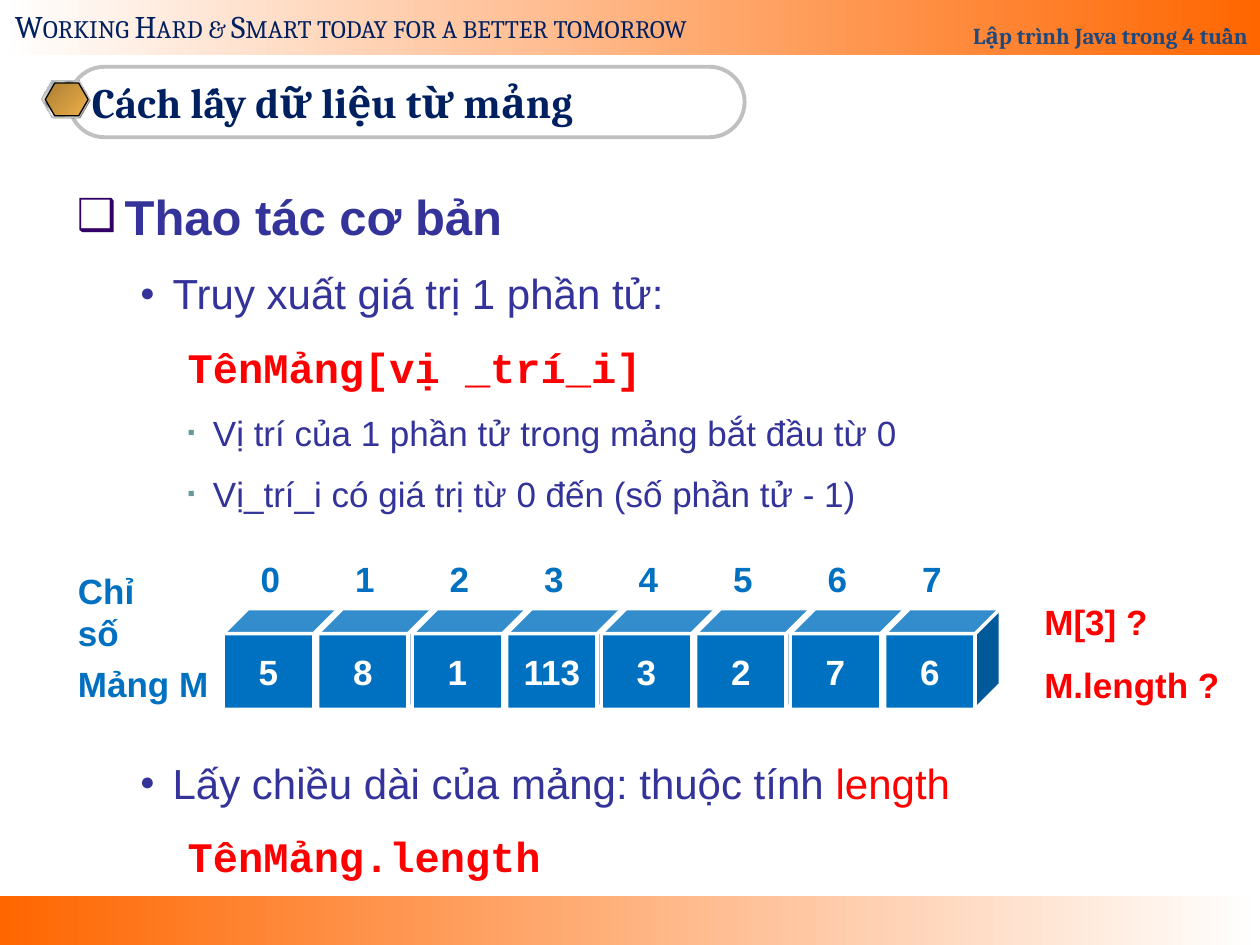
from dataclasses import dataclass
from lxml import etree
from pptx import Presentation
from pptx import util as u
from pptx.dml import color as dml
from pptx.enum import shapes, text
from pptx.oxml import ns


@dataclass(frozen=True)
class Theme:
    orange: str = "FF6600"
    white: str = "FFFFFF"
    black: str = "000000"
    silver: str = "C0C0C0"
    gray: str = "808080"
    navy: str = "002060"
    slate: str = "1F497D"
    indigo: str = "333399"
    purple: str = "330066"
    teal: str = "669999"
    blue: str = "0070C0"
    red: str = "FF0000"
    sans: str = "Arial"
    serif: str = "Cambria"
    mono: str = "Courier New"
    heading: int = 28
    level: int = 24
    detail: int = 20
    motto: int = 18
    course: int = 13


theme = Theme()
rim_half = [(0, "E6E6E6"), (7, "7D8496"), (26, "E6E6E6"), (34, "7D8496"), (46, "E6E6E6")]
rim = rim_half + [(50, theme.white)] + [(100 - at, shade) for at, shade in reversed(rim_half)]


def write(paragraph, words, size=theme.detail, color=theme.indigo, face=theme.sans, bold=True,
          align=text.PP_ALIGN.LEFT, small_caps=False):
    paragraph.alignment = align
    run = paragraph.add_run()
    run.text = words
    run.font.name = face
    run.font.size = u.Pt(size)
    run.font.bold = bold
    run.font.color.rgb = dml.RGBColor.from_string(color)
    if small_caps:
        run.font._element.set("cap", "small")


def add_block(kind, box, fill=None, line=None, weight=0.75, angle=0):
    block = slide.shapes.add_shape(kind, *map(u.Inches, box))
    block.shadow.inherit = False
    if isinstance(fill, list):
        block.fill.gradient()
        block.fill.gradient_angle = angle
        stops = block._element.spPr.find(".//" + ns.qn("a:gsLst"))
        for stop in list(stops):
            stops.remove(stop)
        for at, shade in fill:
            stop = etree.SubElement(stops, ns.qn("a:gs"), pos=str(at * 1000))
            etree.SubElement(stop, ns.qn("a:srgbClr"), val=shade)
    elif fill:
        block.fill.solid()
        block.fill.fore_color.rgb = dml.RGBColor.from_string(fill)
    else:
        block.fill.background()
    if line:
        block.line.color.rgb = dml.RGBColor.from_string(line)
        block.line.width = u.Pt(weight)
    else:
        block.line.fill.background()
    return block


deck = Presentation()
deck.slide_width, deck.slide_height = u.Inches(10), u.Inches(7.5)
slide = deck.slides.add_slide(deck.slide_layouts[1])
preset = shapes.MSO_SHAPE

add_block(preset.RECTANGLE, (0, 7.11, 10, 0.39), [(0, theme.orange), (100, theme.white)])
header = add_block(preset.RECTANGLE, (0, 0, 10, 0.44), [(0, theme.white), (100, theme.orange)])
header.text_frame.vertical_anchor = text.MSO_ANCHOR.BOTTOM
write(header.text_frame.paragraphs[0], "Lập trình Java trong 4 tuần", size=theme.course,
      color=theme.slate, face=theme.serif, align=text.PP_ALIGN.RIGHT)

motto = slide.shapes.add_textbox(*map(u.Inches, (0.02, 0.01, 5.9, 0.4)))
motto.text_frame.word_wrap = False
write(motto.text_frame.paragraphs[0], "Working Hard & Smart today for a better tomorrow",
      size=theme.motto, color=theme.navy, face=theme.serif, bold=False, small_caps=True)

capsule = add_block(preset.ROUNDED_RECTANGLE, (0.55, 0.53, 5.36, 0.56), None, theme.silver, 2.25)
capsule.adjustments[0] = 0.5
for box, fill, edge in (
    ((0.34, 0.65, 0.38, 0.29), theme.gray, None),
    ((0.33, 0.64, 0.38, 0.29), rim, theme.silver),
    ((0.36, 0.66, 0.34, 0.26), [(0, "AB7E34"), (100, "EFB049")], theme.black),
):
    hexagon = add_block(preset.HEXAGON, box, fill, edge, angle=315)
    hexagon.adjustments[0] = 0.289

title = slide.shapes.title
title.left, title.top, title.width, title.height = map(u.Inches, (0.63, 0.53, 5.2, 0.56))
title.text_frame.word_wrap = False
title.text_frame.auto_size = text.MSO_AUTO_SIZE.NONE
title.text_frame.vertical_anchor = text.MSO_ANCHOR.MIDDLE
write(title.text_frame.paragraphs[0], "Cách lấy dữ liệu từ mảng", size=theme.level,
      color=theme.navy, face=theme.serif)

body = slide.placeholders[1]
body.left, body.top, body.width, body.height = map(u.Inches, (0.51, 1.31, 8.66, 5.67))
body.text_frame.word_wrap = True
body.text_frame.auto_size = text.MSO_AUTO_SIZE.NONE
indents = [(0.38, -0.38), (0.76, -0.26), (1.08, -0.2)]
square = ("❑", theme.purple, 90)
dot = ("●", theme.indigo, 60)
tick = ("▪", theme.teal, 60)
topic = dict(size=theme.heading)
point = dict(size=theme.level, bold=False)
code = dict(size=theme.level, color=theme.red, face=theme.mono)
detail = dict(bold=False)
outline = [
    (0, 0, square, [("Thao tác cơ bản", topic)]),
    (1, 6, dot, [("Truy xuất giá trị 1 phần tử:", point)]),
    (2, 6, None, [("TênMảng[vị _trí_i]", code)]),
    (2, 5, tick, [("Vị trí của 1 phần tử trong mảng bắt đầu từ 0", detail)]),
    (2, 5, tick, [("Vị_trí_i có giá trị từ 0 đến (số phần tử - 1)", detail)]),
    (1, 131.5, dot, [("Lấy chiều dài của mảng: thuộc tính ", point),
                     ("length", dict(point, color=theme.red))]),
    (2, 6, None, [("TênMảng.length", code)]),
]
for row, (level, gap, bullet, runs) in enumerate(outline):
    item = body.text_frame.add_paragraph() if row else body.text_frame.paragraphs[0]
    item.level = level
    props = item._p.get_or_add_pPr()
    margin, hanging = indents[level]
    props.set("marL", str(u.Inches(margin)))
    props.set("indent", str(u.Inches(hanging)))
    if bullet:
        mark, shade, percent = bullet
        tint = etree.SubElement(props, ns.qn("a:buClr"))
        etree.SubElement(tint, ns.qn("a:srgbClr"), val=shade)
        etree.SubElement(props, ns.qn("a:buSzPct"), val=str(percent * 1000))
        etree.SubElement(props, ns.qn("a:buFont"), typeface=theme.sans)
        etree.SubElement(props, ns.qn("a:buChar"), char=mark)
    else:
        etree.SubElement(props, ns.qn("a:buNone"))
    item.line_spacing = 1.25
    item.space_before = u.Pt(gap)
    for words, look in runs:
        write(item, words, **look)

first_left, pitch = 1.77, 0.75
for index, value in enumerate([5, 8, 1, 113, 3, 2, 7, 6]):
    left = first_left + index * pitch
    cell = add_block(preset.CUBE, (left, 4.83, 0.92, 0.8), theme.blue, theme.white, 2)
    position = slide.shapes.add_textbox(*map(u.Inches, (left, 4.38, pitch, 0.42)))
    for holder, words, shade in ((cell, value, theme.white), (position, index, theme.blue)):
        holder.text_frame.word_wrap = True
        holder.text_frame.vertical_anchor = text.MSO_ANCHOR.MIDDLE
        write(holder.text_frame.paragraphs[0], str(words), color=shade, align=text.PP_ALIGN.CENTER)

for words, box, shade, wraps in (
    ("Mảng M", (0.52, 5.21, 1.25, 0.44), theme.blue, False),
    ("Chỉ số", (0.52, 4.47, 0.97, 0.4), theme.blue, True),
    ("M[3] ?", (8.19, 4.72, 1.08, 0.44), theme.red, True),
    ("M.length ?", (8.19, 5.22, 1.6, 0.44), theme.red, False),
):
    label = slide.shapes.add_textbox(*map(u.Inches, box))
    label.text_frame.word_wrap = wraps
    write(label.text_frame.paragraphs[0], words, color=shade)

deck.save("out.pptx")
